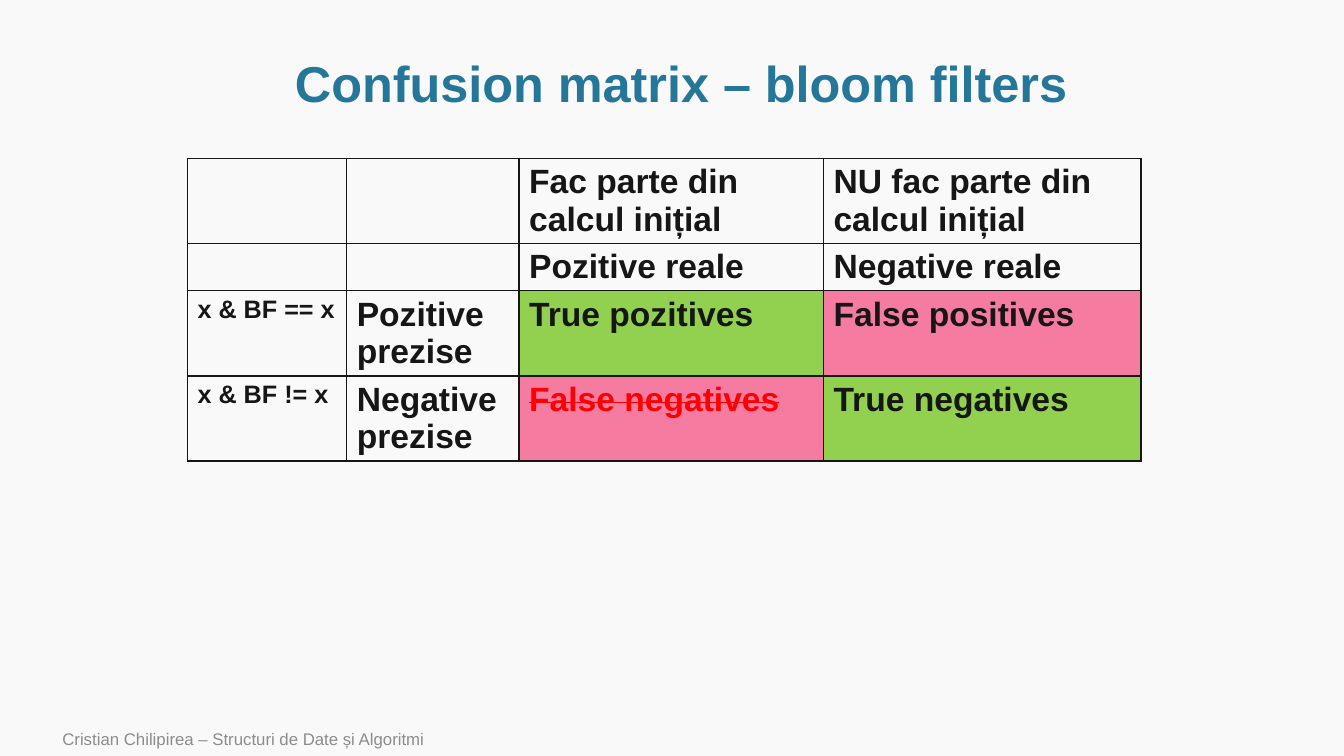
import dataclasses
import typing

import lxml.etree
import pptx
import pptx.dml.color
import pptx.enum.text
import pptx.oxml.ns
import pptx.util


@dataclasses.dataclass(frozen=True)
class Theme:
    font: str = "Arial"
    page: str = "F9F9F9"
    title: str = "247798"
    ink: str = "171616"
    footer: str = "8C8C8C"
    correct: str = "92D050"
    wrong: str = "F57BA1"
    struck: str = "FF0000"
    title_size: int = 36
    cell_size: int = 24
    test_size: int = 18
    footer_size: int = 12
    border_width: int = 1


@dataclasses.dataclass(frozen=True)
class Area:
    """A rectangle in grid columns and rows."""
    left: float
    top: float
    width: float
    height: float


@dataclasses.dataclass(frozen=True)
class Cell:
    text: str = ""
    fill: typing.Optional[str] = None
    size: int = Theme.cell_size
    colour: str = Theme.ink
    strike: bool = False


THEME = Theme()

# The slide is a grid of 160 by 90 square units
SLIDE_WIDTH = pptx.util.Inches(13.33)
SLIDE_HEIGHT = pptx.util.Inches(7.5)
GRID_COLUMNS, GRID_ROWS = 160, 90

TITLE_AREA = Area(12.12, 6.12, 138, 8.28)
FOOTER_AREA = Area(6.24, 85.92, 100.8, 4.08)
MATRIX_LEFT, MATRIX_TOP = 22.32, 18.84
MATRIX_COLUMNS = (18.96, 20.52, 36.24, 37.8)
ONE_LINE, TWO_LINES = 5.64, 10.12
MATRIX_ROWS = (TWO_LINES, ONE_LINE, TWO_LINES, TWO_LINES)

MATRIX = (
    (Cell(), Cell(), Cell("Fac parte din calcul inițial"),
     Cell("NU fac parte din calcul inițial")),
    (Cell(), Cell(), Cell("Pozitive reale"), Cell("Negative reale")),
    (Cell("x & BF == x", size=THEME.test_size), Cell("Pozitive prezise"),
     Cell("True pozitives", THEME.correct), Cell("False positives", THEME.wrong)),
    (Cell("x & BF != x", size=THEME.test_size), Cell("Negative prezise"),
     Cell("False negatives", THEME.wrong, colour=THEME.struck, strike=True),
     Cell("True negatives", THEME.correct)),
)


def across(columns: float) -> int:
    return round(SLIDE_WIDTH * columns / GRID_COLUMNS)


def down(rows: float) -> int:
    return round(SLIDE_HEIGHT * rows / GRID_ROWS)


def place(area: Area) -> tuple[int, int, int, int]:
    return across(area.left), down(area.top), across(area.width), down(area.height)


def rgb(colour: str) -> pptx.dml.color.RGBColor:
    return pptx.dml.color.RGBColor.from_string(colour)


def add_span(para, text: str, size: int, colour: str, bold: bool = False):
    span = para.add_run()
    span.text = text
    span.font.name = THEME.font
    span.font.size = pptx.util.Pt(size)
    span.font.bold = bold
    span.font.color.rgb = rgb(colour)
    return span


def add_title(page, text: str) -> None:
    title = page.shapes.title
    title.left, title.top, title.width, title.height = place(TITLE_AREA)
    frame = title.text_frame
    frame.auto_size = pptx.enum.text.MSO_AUTO_SIZE.NONE
    frame.vertical_anchor = pptx.enum.text.MSO_ANCHOR.MIDDLE
    para = frame.paragraphs[0]
    para.alignment = pptx.enum.text.PP_ALIGN.CENTER
    para.line_spacing = 0.9
    add_span(para, text, THEME.title_size, THEME.title, bold=True)


def add_borders(table_cell) -> None:
    properties = table_cell._tc.get_or_add_tcPr()
    qn = pptx.oxml.ns.qn
    for side in ("a:lnL", "a:lnR", "a:lnT", "a:lnB"):
        line = lxml.etree.SubElement(properties, qn(side))
        line.set("w", str(pptx.util.Pt(THEME.border_width)))
        fill = lxml.etree.SubElement(line, qn("a:solidFill"))
        lxml.etree.SubElement(fill, qn("a:srgbClr")).set("val", THEME.ink)


def fill_cell(table_cell, cell: Cell) -> None:
    add_borders(table_cell)
    if cell.fill:
        table_cell.fill.solid()
        table_cell.fill.fore_color.rgb = rgb(cell.fill)
    else:
        table_cell.fill.background()
    if cell.text:
        para = table_cell.text_frame.paragraphs[0]
        span = add_span(para, cell.text, cell.size, cell.colour, bold=True)
        if cell.strike:
            span._r.get_or_add_rPr().set("strike", "sngStrike")


def add_matrix(page) -> None:
    area = Area(MATRIX_LEFT, MATRIX_TOP, sum(MATRIX_COLUMNS), sum(MATRIX_ROWS))
    table = page.shapes.add_table(
        len(MATRIX_ROWS), len(MATRIX_COLUMNS), *place(area)).table
    table.first_row = False
    table.horz_banding = False
    for column, width in zip(table.columns, MATRIX_COLUMNS):
        column.width = across(width)
    for row, height, cells in zip(table.rows, MATRIX_ROWS, MATRIX):
        row.height = down(height)
        for table_cell, cell in zip(row.cells, cells):
            fill_cell(table_cell, cell)


def add_footer(page, text: str) -> None:
    box = page.shapes.add_textbox(*place(FOOTER_AREA))
    frame = box.text_frame
    frame.word_wrap = True
    frame.vertical_anchor = pptx.enum.text.MSO_ANCHOR.MIDDLE
    add_span(frame.paragraphs[0], text, THEME.footer_size, THEME.footer)


def main() -> None:
    deck = pptx.Presentation()
    deck.slide_width, deck.slide_height = SLIDE_WIDTH, SLIDE_HEIGHT

    # Page with the title-only layout
    page = deck.slides.add_slide(deck.slide_layouts.get_by_name("Title Only"))
    page.background.fill.solid()
    page.background.fill.fore_color.rgb = rgb(THEME.page)

    # Title, confusion matrix and footer
    add_title(page, "Confusion matrix – bloom filters")
    add_matrix(page)
    add_footer(page, "Cristian Chilipirea – Structuri de Date și Algoritmi")

    deck.save("out.pptx")


if __name__ == "__main__":
    main()
